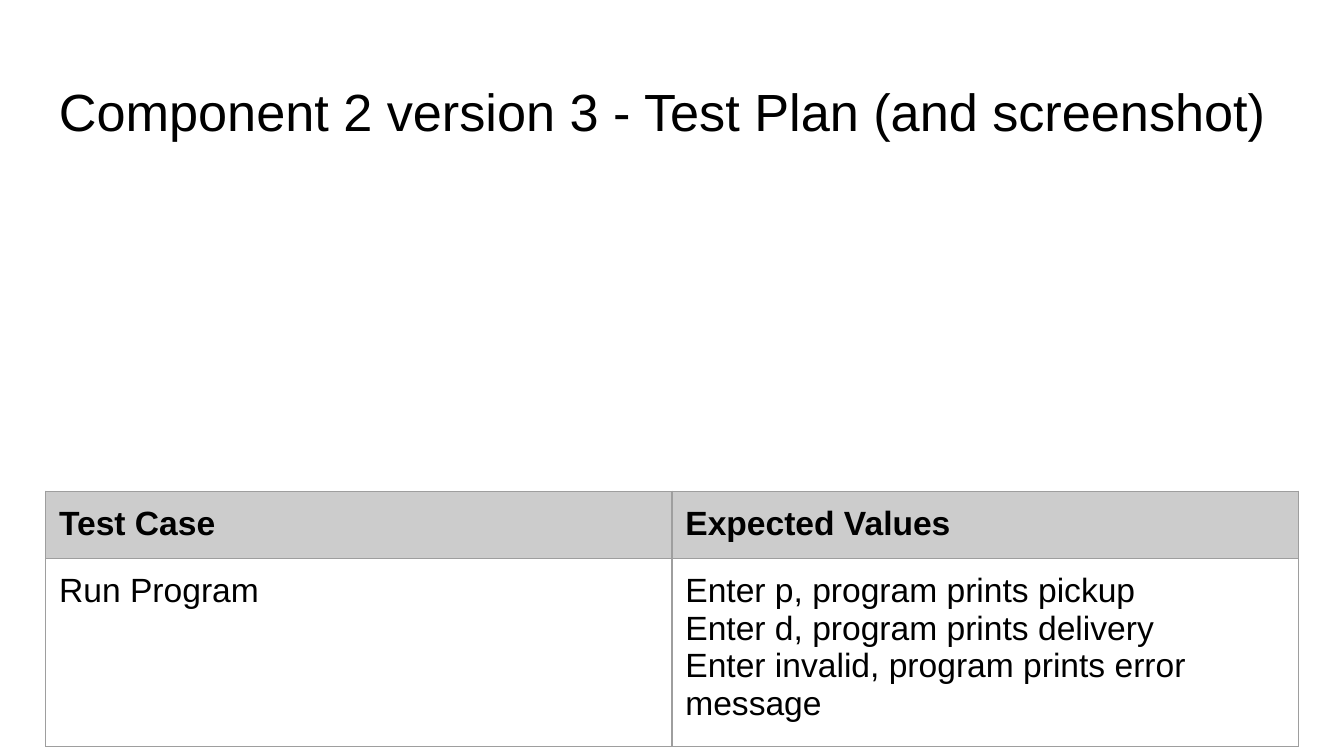
from lxml import etree
from pptx import Presentation
from pptx.dml.color import RGBColor
from pptx.enum.text import MSO_ANCHOR
from pptx.oxml.ns import qn
from pptx.util import Pt

TOP = MSO_ANCHOR.TOP

# Content
TITLE = "Component 2 version 3 - Test Plan (and screenshot)"
ROWS = [
    [["Test Case"], ["Expected Values"]],
    [["Run Program"],
     ["Enter p, program prints pickup",
      "Enter d, program prints delivery",
      "Enter invalid, program prints error message"]],
]

# Style and layout, in points
COLORS = {"text": "000000", "head": "CCCCCC", "line": "9E9E9E"}
FONT = "Arial"
WIDE, HIGH = 720, 405
LEFT, PAD = 24.5, 7.2
SPAN = WIDE - 2 * LEFT
HEIGHTS = [34, 94]


def add_lines(frame, lines, size, bold=False):
    for i, line in enumerate(lines):
        para = frame.paragraphs[0] if i == 0 else frame.add_paragraph()
        run = para.add_run()
        run.text = line
        font = run.font
        font.name, font.size, font.bold = FONT, Pt(size), bold
        font.color.rgb = RGBColor.from_string(COLORS["text"])


def set_pad(part):
    part.margin_left = part.margin_right = Pt(PAD)
    part.margin_top = part.margin_bottom = Pt(PAD)
    part.vertical_anchor = TOP


def add_lining(cell):
    props = cell._tc.get_or_add_tcPr()
    for i, side in enumerate(("lnL", "lnR", "lnT", "lnB")):
        line = etree.Element(qn(f"a:{side}"), w=str(int(Pt(0.75))))
        fill = etree.SubElement(line, qn("a:solidFill"))
        etree.SubElement(fill, qn("a:srgbClr"), val=COLORS["line"])
        props.insert(i, line)


deck = Presentation()
deck.slide_width, deck.slide_height = Pt(WIDE), Pt(HIGH)
slide = deck.slides.add_slide(deck.slide_layouts[6])

# Title
box = slide.shapes.add_textbox(Pt(LEFT), Pt(35), Pt(SPAN), Pt(45))
frame = box.text_frame
frame.word_wrap = True
set_pad(frame)
add_lines(frame, [TITLE], 28)

# Test plan table
table = slide.shapes.add_table(
    len(ROWS), len(ROWS[0]), Pt(LEFT), Pt(263.2), Pt(SPAN), Pt(sum(HEIGHTS))
).table
table.horz_banding = False
for r, row in enumerate(ROWS):
    table.rows[r].height = Pt(HEIGHTS[r])
    head = r == 0
    for c, lines in enumerate(row):
        cell = table.cell(r, c)
        set_pad(cell)
        add_lines(cell.text_frame, lines, 18, head)
        if head:
            cell.fill.solid()
            cell.fill.fore_color.rgb = RGBColor.from_string(COLORS["head"])
        else:
            cell.fill.background()
        add_lining(cell)

deck.save("out.pptx")
